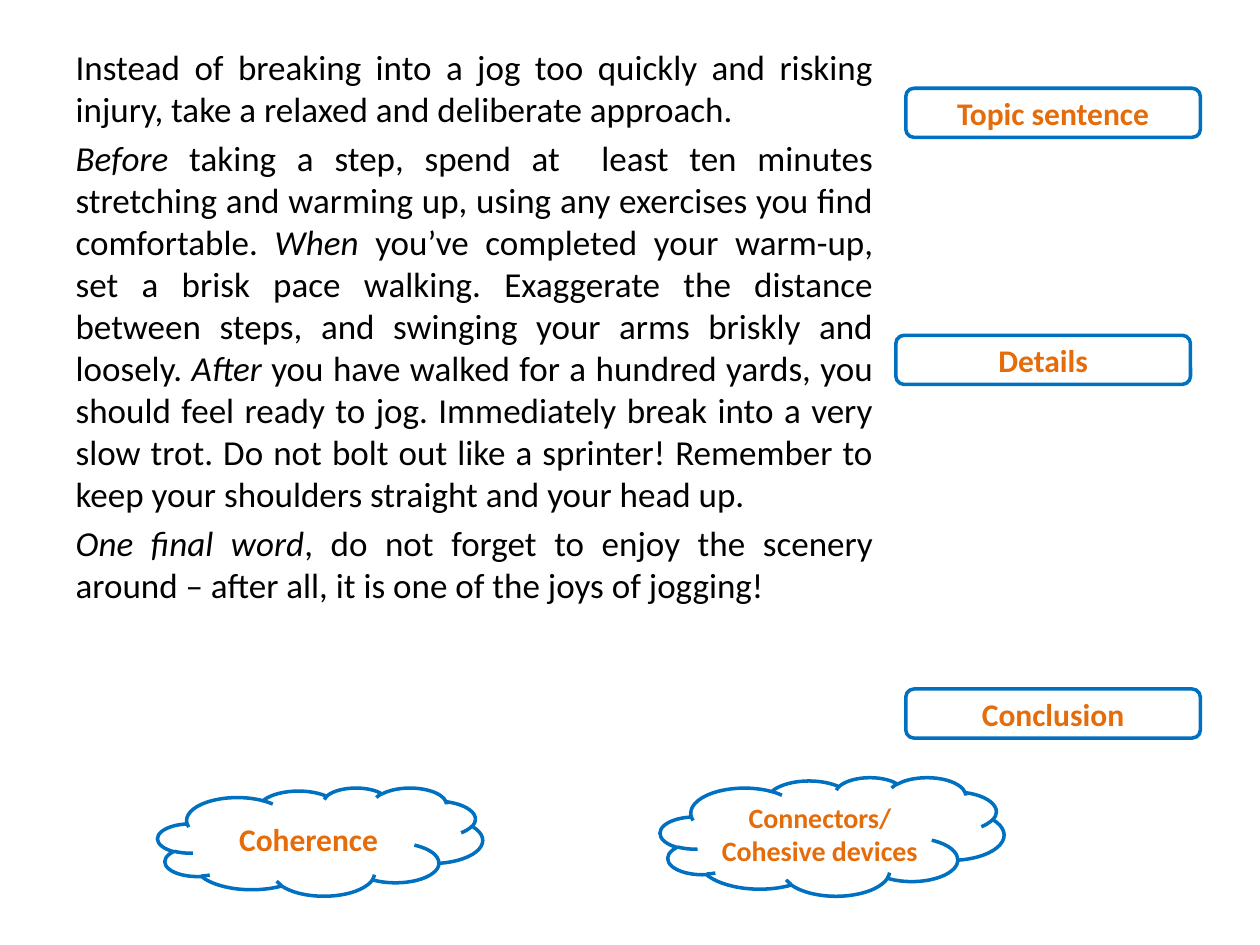
"""Build a slide that labels the parts of a paragraph about jogging."""
from dataclasses import dataclass

from lxml import etree
from pptx import Presentation
from pptx.dml.color import RGBColor
from pptx.enum.shapes import MSO_SHAPE
from pptx.enum.text import MSO_ANCHOR, MSO_AUTO_SIZE, PP_ALIGN
from pptx.oxml.ns import qn
from pptx.util import Cm, Pt

ROUNDED, CLOUD = MSO_SHAPE.ROUNDED_RECTANGLE, MSO_SHAPE.CLOUD
CENTER, JUSTIFY = PP_ALIGN.CENTER, PP_ALIGN.JUSTIFY
TOP, MIDDLE = MSO_ANCHOR.TOP, MSO_ANCHOR.MIDDLE
NO_AUTOFIT = MSO_AUTO_SIZE.NONE


@dataclass(frozen=True)
class Theme:
    font: str = "Calibri"
    text: RGBColor = RGBColor(0x00, 0x00, 0x00)
    label: RGBColor = RGBColor(0xE4, 0x6C, 0x0A)
    outline: RGBColor = RGBColor(0x00, 0x70, 0xC0)
    outline_width: Pt = Pt(2)
    body_size: Pt = Pt(20)
    body_gap: Pt = Pt(4)
    label_size: Pt = Pt(18)
    small_size: Pt = Pt(16)


THEME = Theme()

PARAGRAPHS = [
    [("Instead of breaking into a jog too quickly and risking injury, "
      "take a relaxed and deliberate approach.", False)],
    [("Before", True),
     (" taking a step, spend at  least ten minutes stretching and warming up, "
      "using any exercises you find comfortable. ", False),
     ("When ", True),
     ("you’ve completed your warm-up, set a brisk pace walking. Exaggerate "
      "the distance between steps, and swinging your arms briskly and "
      "loosely. ", False),
     ("After ", True),
     ("you have walked for a hundred yards, you should feel ready to jog. "
      "Immediately break into a very slow trot. Do not bolt out like a "
      "sprinter! Remember to keep your shoulders straight and your head up.",
      False)],
    [("One final word", True),
     (", do not forget to enjoy the scenery around – after all, it is one of "
      "the joys of jogging!", False)],
]

PART_SIZE = (5.94, 0.99)
PARTS = [
    ("Topic sentence", 18.26, 1.78),
    ("Details", 18.06, 6.76),
    ("Conclusion", 18.26, 13.89),
]
CLOUDS = [
    ("Connectors/ Cohesive devices", (13.31, 15.67, 6.93, 2.39), THEME.small_size),
    ("Coherence", (3.18, 15.88, 6.55, 2.18), THEME.label_size),
]


def set_all(obj, values):
    for name, value in values.items():
        setattr(obj, name, value)


def add_run(p, text, color, **fmt):
    r = p.add_run()
    r.text = text
    set_all(r.font, {"name": THEME.font, **fmt})
    r.font.color.rgb = color


def remove_bullet(p):
    pPr = p._p.get_or_add_pPr()
    set_all(pPr, {})
    pPr.set("marL", "0")
    pPr.set("indent", "0")
    etree.SubElement(pPr, qn("a:buNone"))


def fill_body(sp, box, paragraphs):
    set_all(sp, dict(zip(("left", "top", "width", "height"), map(Cm, box))))
    tf = sp.text_frame
    set_all(tf, {"word_wrap": True, "auto_size": NO_AUTOFIT,
                 "vertical_anchor": TOP})
    for i, runs in enumerate(paragraphs):
        p = tf.add_paragraph() if i else tf.paragraphs[0]
        remove_bullet(p)
        set_all(p, {"alignment": JUSTIFY,
                    "space_before": THEME.body_gap if i else Pt(0)})
        for text, italic in runs:
            add_run(p, text, THEME.text, size=THEME.body_size, italic=italic)


def add_label(s, kind, box, text, size):
    sp = s.shapes.add_shape(kind, *map(Cm, box))
    sp.shadow.inherit = False
    sp.fill.background()
    sp.line.color.rgb = THEME.outline
    sp.line.width = THEME.outline_width
    tf = sp.text_frame
    set_all(tf, {"word_wrap": True, "vertical_anchor": MIDDLE})
    p = tf.paragraphs[0]
    p.alignment = CENTER
    add_run(p, text, THEME.label, size=size, bold=True)


def main():
    prs = Presentation()
    set_all(prs, {"slide_width": Cm(25.4), "slide_height": Cm(19.05)})
    s = prs.slides.add_slide(prs.slide_layouts[1])
    title = s.shapes.title._element
    title.getparent().remove(title)
    fill_body(s.placeholders[1], (1.27, 0.79, 16.59, 15.62), PARAGRAPHS)
    for text, left, top in PARTS:
        add_label(s, ROUNDED, (left, top, *PART_SIZE), text, THEME.label_size)
    for text, box, size in CLOUDS:
        add_label(s, CLOUD, box, text, size)
    prs.save("out.pptx")


if __name__ == "__main__":
    main()
